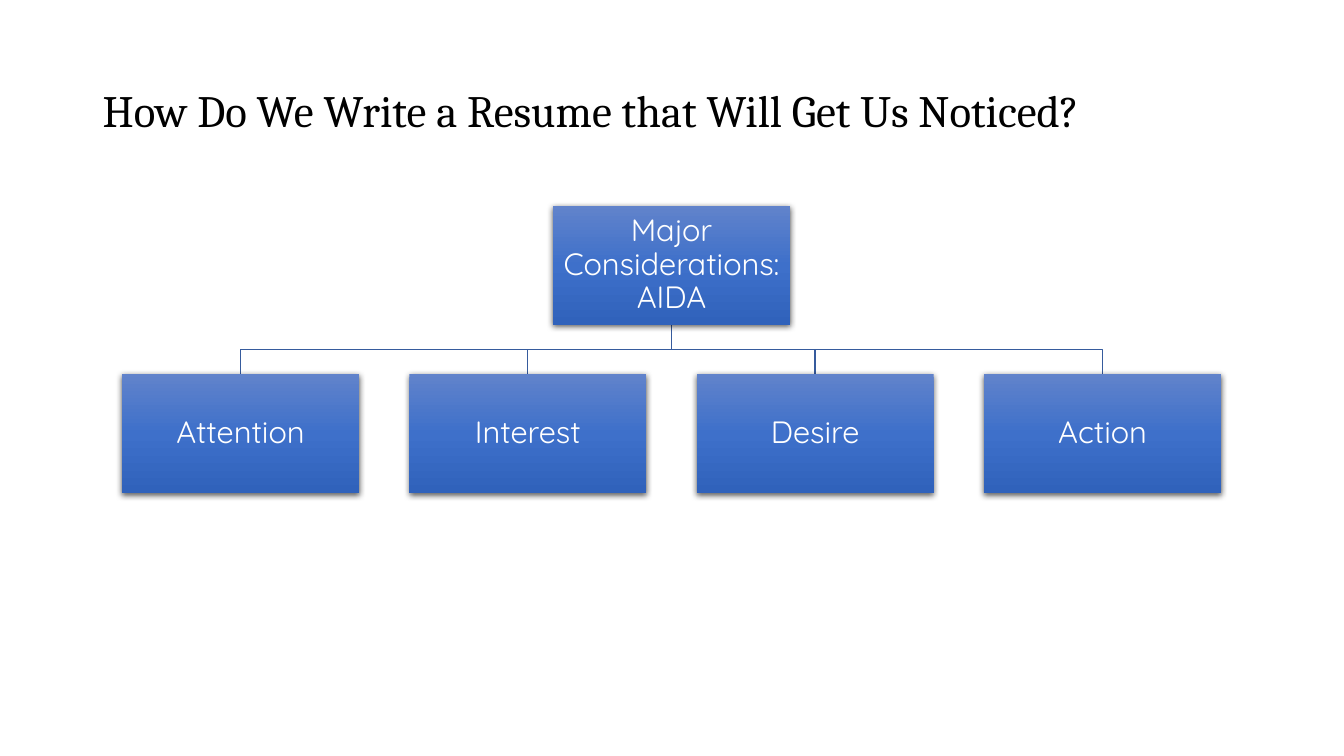
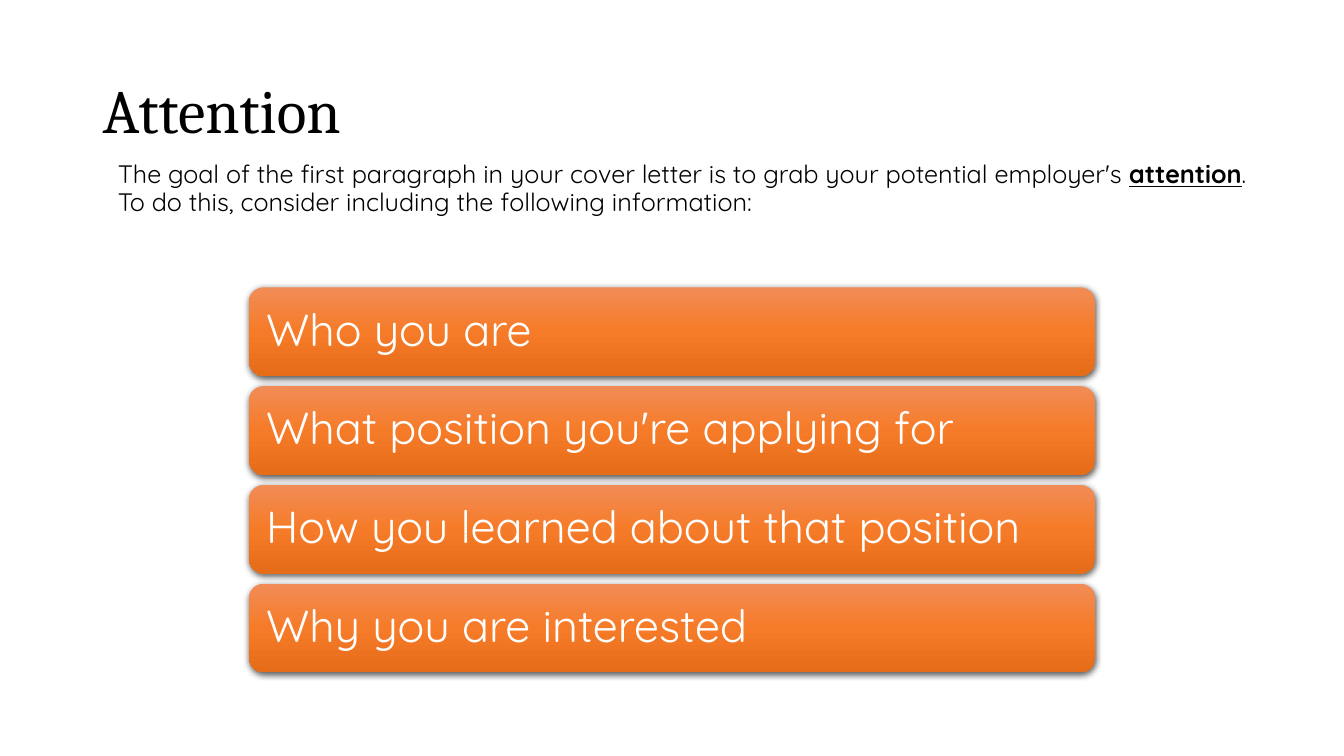
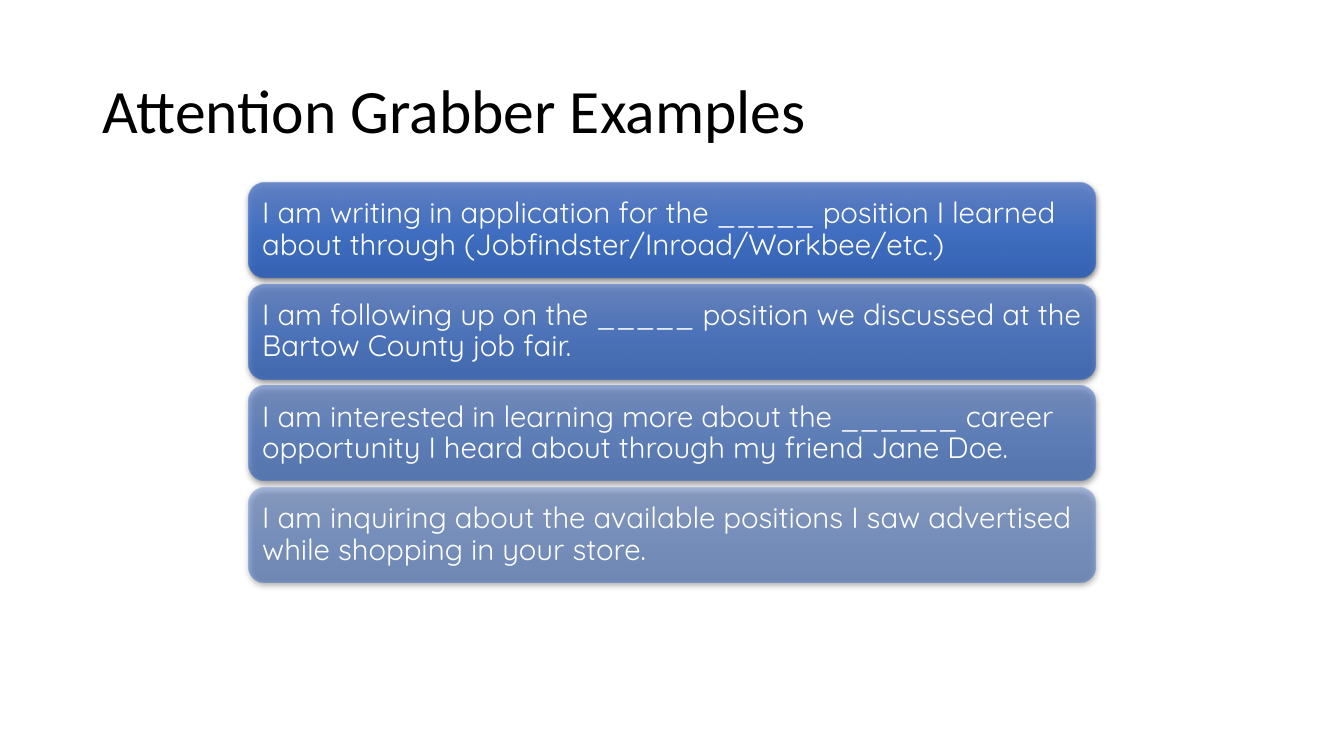
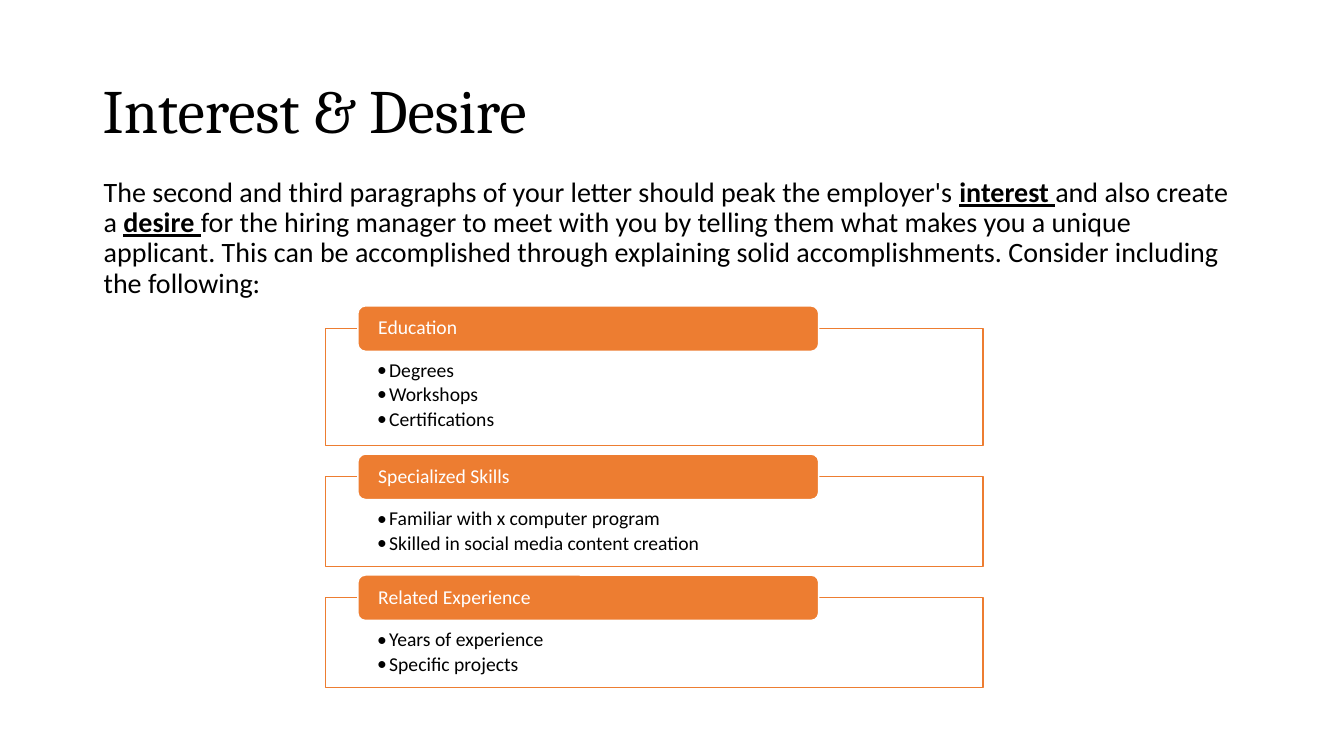
"""Build four slides on writing a cover letter with the AIDA scheme."""
from lxml import etree
from pptx import Presentation
from pptx.dml.color import RGBColor
from pptx.enum import shapes as sh, text as tx
from pptx.oxml.ns import qn
from pptx.util import Inches, Pt

BLACK = RGBColor(0x00, 0x00, 0x00)
WHITE = RGBColor(0xFF, 0xFF, 0xFF)
LINK = RGBColor(0x36, 0x5B, 0x9D)
ORANGE = RGBColor(0xED, 0x7D, 0x31)
BLUES = [RGBColor(0x61, 0x83, 0xCB), RGBColor(0x3E, 0x70, 0xCA), RGBColor(0x30, 0x62, 0xBB)]
EMBERS = [RGBColor(0xF1, 0x8C, 0x57), RGBColor(0xF6, 0x7B, 0x28), RGBColor(0xE5, 0x6C, 0x19)]
SERIF, SANS, ROUND = "Cambria", "Calibri", "Quicksand"
RECT = sh.MSO_SHAPE.RECTANGLE
SOFT = sh.MSO_SHAPE.ROUNDED_RECTANGLE
MID, TOP = tx.MSO_ANCHOR.MIDDLE, tx.MSO_ANCHOR.TOP
LEFT, CENTER = tx.PP_ALIGN.LEFT, tx.PP_ALIGN.CENTER


def node(parent, tag, **attrs):
    """Append a drawing element to a parent and return it."""
    return etree.SubElement(parent, qn(tag), {k: str(v) for k, v in attrs.items()})


def write(shape, *lines, size=18, font=ROUND, color=BLACK, align=LEFT,
          anchor=MID, pads=(0.1, 0.05, 0.1, 0.05), bullet=False, after=0):
    """Fill a shape with paragraphs; words between asterisks are bold and underlined."""
    frame = shape.text_frame
    frame.word_wrap = True
    frame.vertical_anchor = anchor
    (frame.margin_left, frame.margin_top,
     frame.margin_right, frame.margin_bottom) = map(Inches, pads)
    for i, line in enumerate(lines):
        para = frame.add_paragraph() if i else frame.paragraphs[0]
        para.alignment = align
        para.line_spacing = 0.9
        para.space_after = Pt(after)
        if bullet:
            props = para._p.get_or_add_pPr()
            props.set("marL", str(Inches(0.12)))
            props.set("indent", str(Inches(-0.12)))
            node(props, "a:buFont", typeface=font)
            node(props, "a:buChar", char="•")
        for j, part in enumerate(line.split("*")):
            run = para.add_run()
            run.text = part
            run.font.size = Pt(size)
            run.font.name = font
            run.font.color.rgb = color
            if j % 2:
                run.font.bold = run.font.underline = True


def label(slide, line, x, y, w, h, **fmt):
    """Add a text box."""
    write(slide.shapes.add_textbox(*map(Inches, (x, y, w, h))), line, **fmt)


def page(deck, title, size=44, font=SERIF):
    """Add a blank slide with its title."""
    slide = deck.slides.add_slide(deck.slide_layouts[6])
    label(slide, title, 0.92, 0.4, 11.5, 1.45, size=size, font=font)
    return slide


def flat(slide, kind, x, y, w, h, fill, edge):
    """Add a plain shape with a thin outline."""
    shape = slide.shapes.add_shape(kind, *map(Inches, (x, y, w, h)))
    shape.shadow.inherit = False
    shape.fill.solid()
    shape.fill.fore_color.rgb = fill
    shape.line.color.rgb = edge
    shape.line.width = Pt(1)
    return shape


def card(slide, kind, x, y, w, h, shades, alpha=100):
    """Add a shape with a vertical gradient and a soft shadow."""
    shape = slide.shapes.add_shape(kind, *map(Inches, (x, y, w, h)))
    shape.line.fill.background()
    shape.fill.gradient()
    shape.fill.gradient_angle = 270
    props = shape._element.spPr
    stops = props.find(qn("a:gradFill")).find(qn("a:gsLst"))
    stops.clear()
    for i, shade in enumerate(shades):
        stop = node(stops, "a:gs", pos=i * 50000)
        tint = node(stop, "a:srgbClr", val=shade)
        if alpha < 100:
            node(tint, "a:alpha", val=alpha * 1000)
    shape.shadow.inherit = False
    cast = node(props.find(qn("a:effectLst")), "a:outerShdw", blurRad=Pt(4.5),
                dist=Pt(1.5), dir=5400000, algn="ctr", rotWithShape=0)
    node(node(cast, "a:srgbClr", val=BLACK), "a:alpha", val=63000)
    return shape


def elbow(slide, x1, y1, x2, y2):
    """Draw a thin bent line that turns halfway down."""
    half = (y1 + y2) / 2
    pen = slide.shapes.build_freeform(Inches(x1), Inches(y1))
    pen.add_line_segments([(Inches(x), Inches(y)) for x, y in
                           ((x1, half), (x2, half), (x2, y2))], close=False)
    line = pen.convert_to_shape()
    line.shadow.inherit = False
    line.fill.background()
    line.line.color.rgb = LINK
    line.line.width = Pt(1)


def tree(slide, head, items):
    """Draw a head box over a row of joined boxes."""
    x, y, w, h, step, top = 1.21, 3.71, 2.35, 1.18, 2.85, 2.04
    fmt = dict(size=22, color=WHITE, align=CENTER, pads=[0.02] * 4)
    spots = [x + i * step for i in range(len(items))]
    crown = (spots[0] + spots[-1]) / 2
    for spot in reversed(spots):
        elbow(slide, crown + w / 2, top + h, spot + w / 2, y)
    write(card(slide, RECT, crown, top, w, h, BLUES), head, **fmt)
    for spot, item in zip(spots, items):
        write(card(slide, RECT, spot, y, w, h, BLUES), item, **fmt)


def stack(slide, items, y, h, step, shades, size, pad, alphas):
    """Draw a column of rounded bars with text laid over them."""
    x, w, rim = 2.47, 8.39, 0.04
    for i, (item, alpha) in enumerate(zip(items, alphas)):
        top = y + i * step
        card(slide, SOFT, x, top, w, h, shades, alpha)
        label(slide, item, x + rim, top + rim, w - 2 * rim, h - 2 * rim,
              size=size, color=WHITE, pads=[pad] * 4)


def panels(slide, groups):
    """Draw outlined lists, each with a tab on its top edge."""
    y, tall = 3.26, 0.45
    for name, h, items in groups:
        box = flat(slide, RECT, 3.23, y, 6.52, h, WHITE, ORANGE)
        write(box, *items, size=14, font=SANS, anchor=TOP, bullet=True, after=2.1,
              pads=(0.51, 0.32, 0.51, 0.11))
        tab = flat(slide, SOFT, 3.55, y - tall / 2, 4.57, tall, ORANGE, WHITE)
        write(tab, name, size=14, font=SANS, color=WHITE, pads=(0.18, 0, 0.18, 0))
        y += h + 0.31


def main():
    """Build and save the deck."""
    deck = Presentation()
    deck.slide_width, deck.slide_height = Inches(13.33), Inches(7.5)

    slide = page(deck, "How Do We Write a Resume that Will Get Us Noticed?", size=32)
    tree(slide, "Major Considerations: AIDA", ["Attention", "Interest", "Desire", "Action"])

    slide = page(deck, "Attention")
    label(slide, "The goal of the first paragraph in your cover letter is to grab your "
          "potential employer's *attention*. To do this, consider including the "
          "following information:", 1.07, 1.56, 11.5, 4.76, anchor=TOP)
    stack(slide, ["Who you are", "What position you're applying for",
                  "How you learned about that position", "Why you are interested"],
          2.85, 0.88, 0.98, EMBERS, 32, 0.13, [100] * 4)

    slide = page(deck, "Attention Grabber Examples", font=SANS)
    stack(slide, [
        "I am writing in application for the _____ position I learned about through "
        "(Jobfindster/Inroad/Workbee/etc.)",
        "I am following up on the _____ position we discussed at the Bartow County job fair.",
        "I am interested in learning more about the ______ career opportunity I heard "
        "about through my friend Jane Doe.",
        "I am inquiring about the available positions I saw advertised while shopping "
        "in your store."],
        1.81, 0.94, 1.01, BLUES, 21, 0.09, [90, 77, 63, 50])

    slide = page(deck, "Interest & Desire")
    label(slide, "The second and third paragraphs of your letter should peak the employer's "
          "*interest *and also create a *desire *for the hiring manager to meet with you by "
          "telling them what makes you a unique applicant. This can be accomplished through "
          "explaining solid accomplishments. Consider including the following:",
          0.93, 1.72, 11.5, 4.76, size=20, font=SANS, anchor=TOP)
    panels(slide, [
        ("Education", 1.16, ["Degrees", "Workshops", "Certifications"]),
        ("Specialized Skills", 0.89, ["Familiar with x computer program",
                                      "Skilled in social media content creation"]),
        ("Related Experience", 0.89, ["Years of experience", "Specific projects"])])

    deck.save("out.pptx")


if __name__ == "__main__":
    main()
